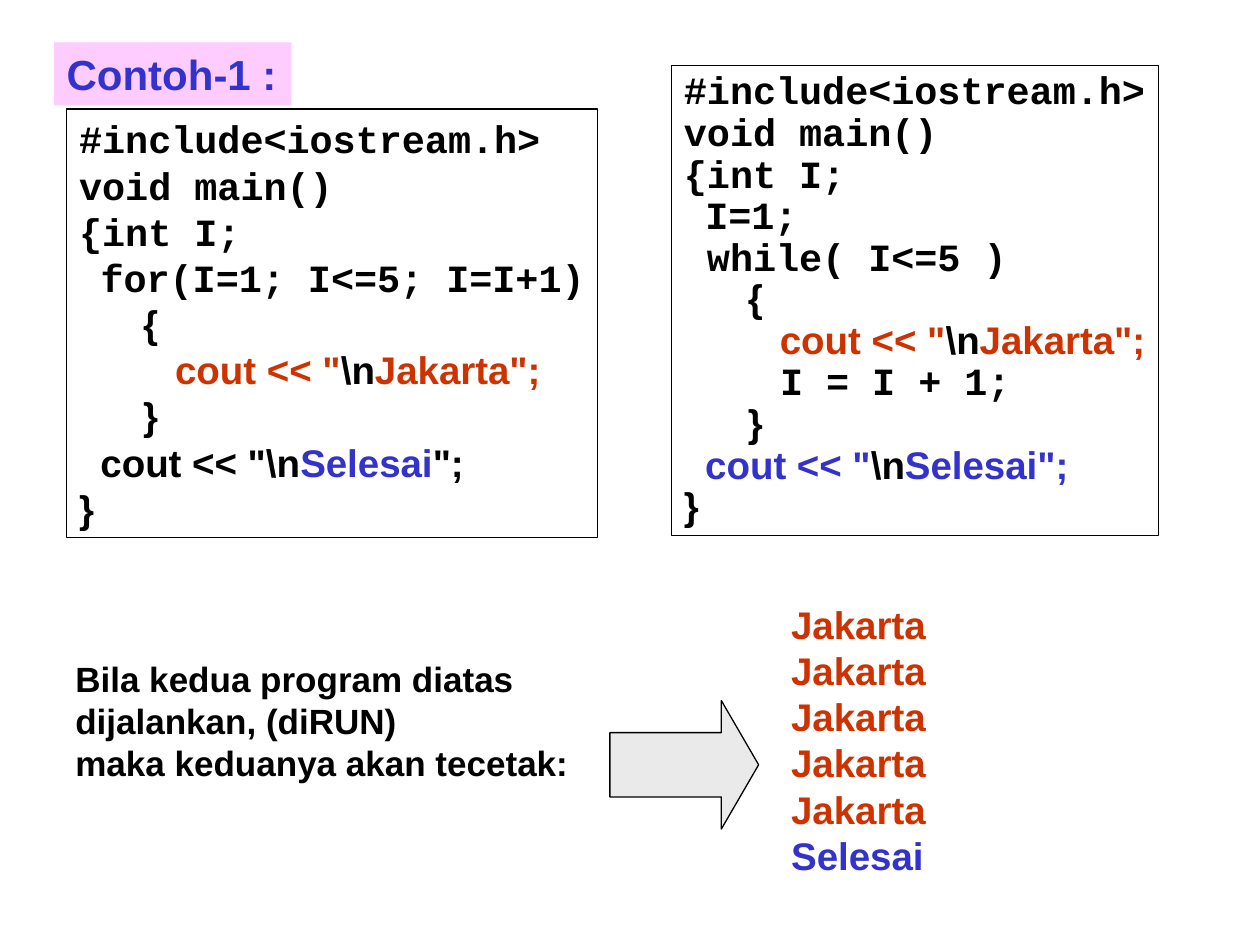
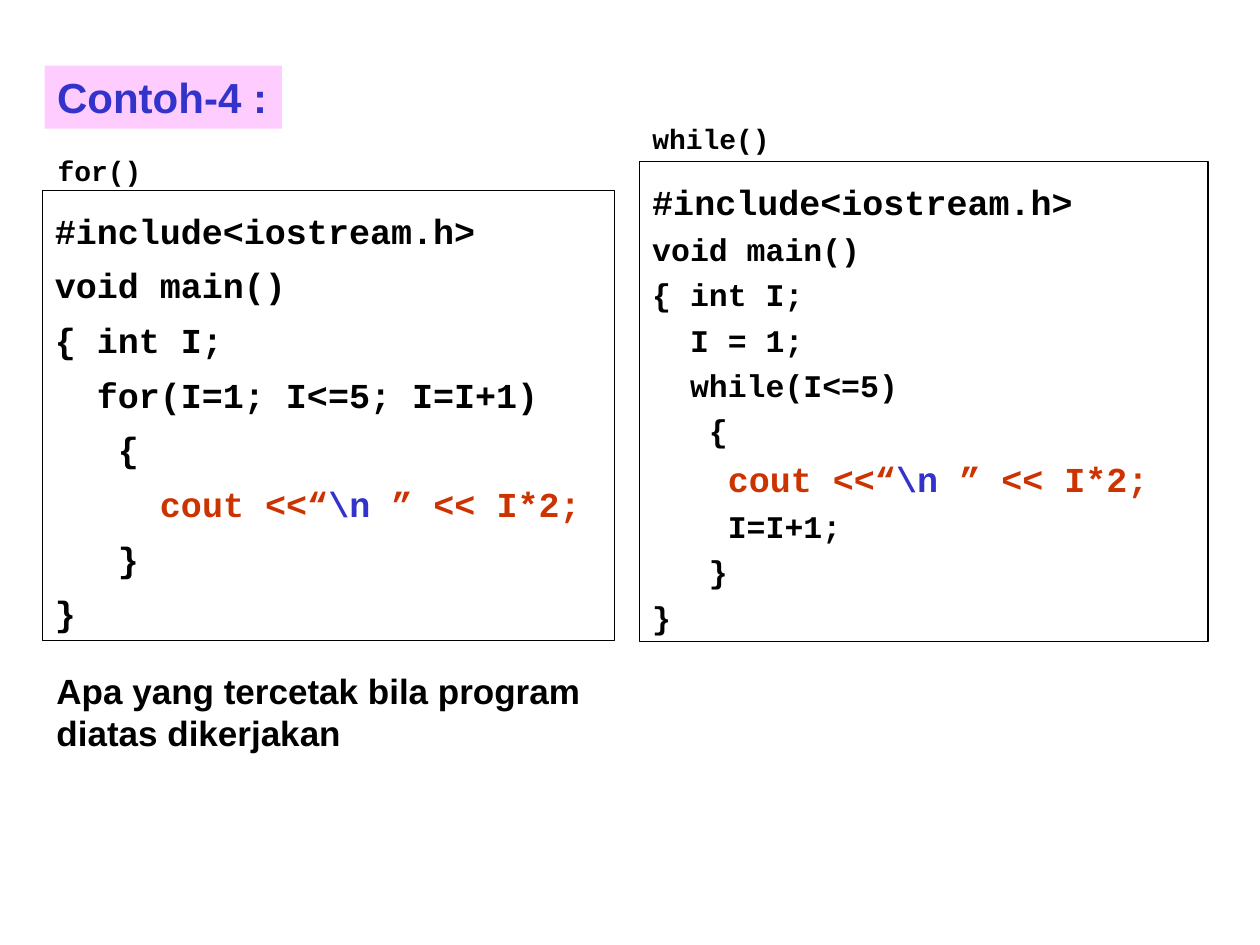
from pptx import Presentation
from pptx.dml.color import RGBColor
from pptx.enum.shapes import MSO_SHAPE
from pptx.enum.text import MSO_ANCHOR, MSO_AUTO_SIZE, PP_ALIGN
from pptx.util import Pt

RECT, ARROW = MSO_SHAPE.RECTANGLE, MSO_SHAPE.RIGHT_ARROW
TOP, LEFT, GROW = MSO_ANCHOR.TOP, PP_ALIGN.LEFT, MSO_AUTO_SIZE.SHAPE_TO_FIT_TEXT


class Theme:
    black = RGBColor.from_string("000000")
    blue = RGBColor.from_string("3333CC")
    red = RGBColor.from_string("CC3300")
    pink = RGBColor.from_string("FFCCFF")
    grey = RGBColor.from_string("EAEAEA")
    sans, mono = "Arial", "Courier New"
    title, large, body, small, label = 24, 22, 20, 18, 16
    rule = 0.75


# Text looks; a run names only what differs from its box
BASE = {"face": Theme.sans, "size": Theme.body, "ink": Theme.black, "gap": None}
SANS = {"face": Theme.sans}
RED = {"ink": Theme.red}
BLUE = {"ink": Theme.blue}
CODE = {"face": Theme.mono}
LARGE = {"size": Theme.large}
TITLE = BLUE | {"size": Theme.title}
LABEL = CODE | {"size": Theme.label}


def style(font, look):
    if "face" in look:
        font.name = look["face"]
    if "size" in look:
        font.size = Pt(look["size"])
    if "ink" in look:
        font.color.rgb = look["ink"]


def box(slide, at, lines, look, fill=None, edge=False, wrap=False):
    place = [Pt(n) for n in at]
    if fill or edge:
        item = slide.shapes.add_shape(RECT, *place)
        item.shadow.inherit = False
        if fill:
            item.fill.solid()
            item.fill.fore_color.rgb = fill
        else:
            item.fill.background()
        if edge:
            item.line.color.rgb = Theme.black
            item.line.width = Pt(Theme.rule)
        else:
            item.line.fill.background()
    else:
        item = slide.shapes.add_textbox(*place)
    frame = item.text_frame
    frame.word_wrap = wrap
    frame.auto_size = GROW
    frame.vertical_anchor = TOP
    for i, line in enumerate(lines):
        para = frame.paragraphs[0] if i == 0 else frame.add_paragraph()
        runs = [(line, {})] if isinstance(line, str) else line
        looks = [BASE | look | own for _, own in runs]
        # What all runs share goes on the paragraph, the rest on each run
        same = {k: v for k, v in looks[0].items() if all(l[k] == v for l in looks)}
        para.alignment = LEFT
        if same["gap"]:
            para.line_spacing = same["gap"]
        para.font.bold = True
        style(para.font, same)
        for (text, _), full in zip(runs, looks):
            run = para.add_run()
            run.text = text
            style(run.font, {k: v for k, v in full.items() if k not in same})


deck = Presentation()
deck.slide_width, deck.slide_height = Pt(720), Pt(540)
blank = deck.slide_layouts[6]

# Slide 1: the same loop with for and while
slide = deck.slides.add_slide(blank)
box(slide, (31, 24.25, 135.5, 36), ["Contoh-1 :"], TITLE, fill=Theme.pink)
box(slide, (36, 372.25, 311.75, 79.2),
    ["Bila kedua program diatas dijalankan, (diRUN)",
     "maka keduanya akan tecetak:"], {}, wrap=True)

# Printed result
box(slide, (445, 339.85, 128.15, 165.6),
    ["Jakarta"] * 5 + [[("Selesai", BLUE)]], LARGE | RED, wrap=True)

# Code lines that both programs hold
head = ["#include<iostream.h>", "void main()", "{int I;"]
start, end = [("      {", SANS)], [("      }", SANS)]
city = [('         cout << "', SANS | RED), (r"\n", SANS), ('Jakarta";', SANS | RED)]
last = [("}", SANS)]

box(slide, (38.15, 62.4, 303.5, 244.8), head + [
    [("  ", SANS), ("for(I=1; I<=5; I=I+1)", {})],
    start, city, end,
    [(r'  cout << "\n', SANS), ("Selesai", SANS | BLUE), ('";', SANS)],
    last], CODE | LARGE, edge=True)
box(slide, (383.75, 37.45, 278.25, 268.55), head + [
    [("  ", SANS), ("I=1;", {})],
    " while( I<=5 )",
    start, city,
    [("         ", SANS), ("I = I + 1;", {})],
    end,
    [('  cout << "', SANS | BLUE), (r"\n", SANS), ('Selesai";', SANS | BLUE)],
    last], CODE | LARGE | {"gap": 0.9}, edge=True)

# Arrow to the result
arrow = slide.shapes.add_shape(ARROW, Pt(348.5), Pt(400.3), Pt(85), Pt(73.45))
arrow.adjustments[0], arrow.adjustments[1] = 0.5, 0.29
arrow.shadow.inherit = False
arrow.fill.solid()
arrow.fill.fore_color.rgb = Theme.grey
arrow.line.color.rgb = Theme.black
arrow.line.width = Pt(Theme.rule)

# Slide 2: what does this loop print
slide = deck.slides.add_slide(blank)
big = {"size": Theme.body}
twice = [("cout <<“", big | RED), (r"\n", big | BLUE), (" ” << I*2;", big | RED)]
box(slide, (24.25, 108.9, 327, 257.05), [
    "#include<iostream.h>",
    "void main()",
    "{ int I;",
    "  for(I=1; I<=5; I=I+1)",
    "   {",
    [("     ", {})] + twice,
    "   }",
    "}"], CODE | {"gap": 1.3}, edge=True)
box(slide, (365.6, 92.3, 324.7, 274.3), [
    [("#include<iostream.h>", big | {"gap": 1.3})],
    "void main()",
    "{ int I;",
    "  I = 1;",
    "  while(I<=5)",
    "   {",
    [("    ", {})] + twice,
    "    I=I+1;",
    "   }",
    "}"], CODE | {"size": Theme.small, "gap": 1.2}, edge=True, wrap=True)

# Labels, question and title
box(slide, (25.9, 84.25, 65, 26.65), ["for()"], LABEL)
box(slide, (365.75, 65.75, 84, 26.65), ["while()"], LABEL)
box(slide, (25.2, 379.2, 316, 55.45),
    ["Apa yang tercetak bila program", "diatas dikerjakan"], {})
box(slide, (25.6, 37.6, 135.5, 36), ["Contoh-4 :"], TITLE, fill=Theme.pink)

deck.save("out.pptx")
